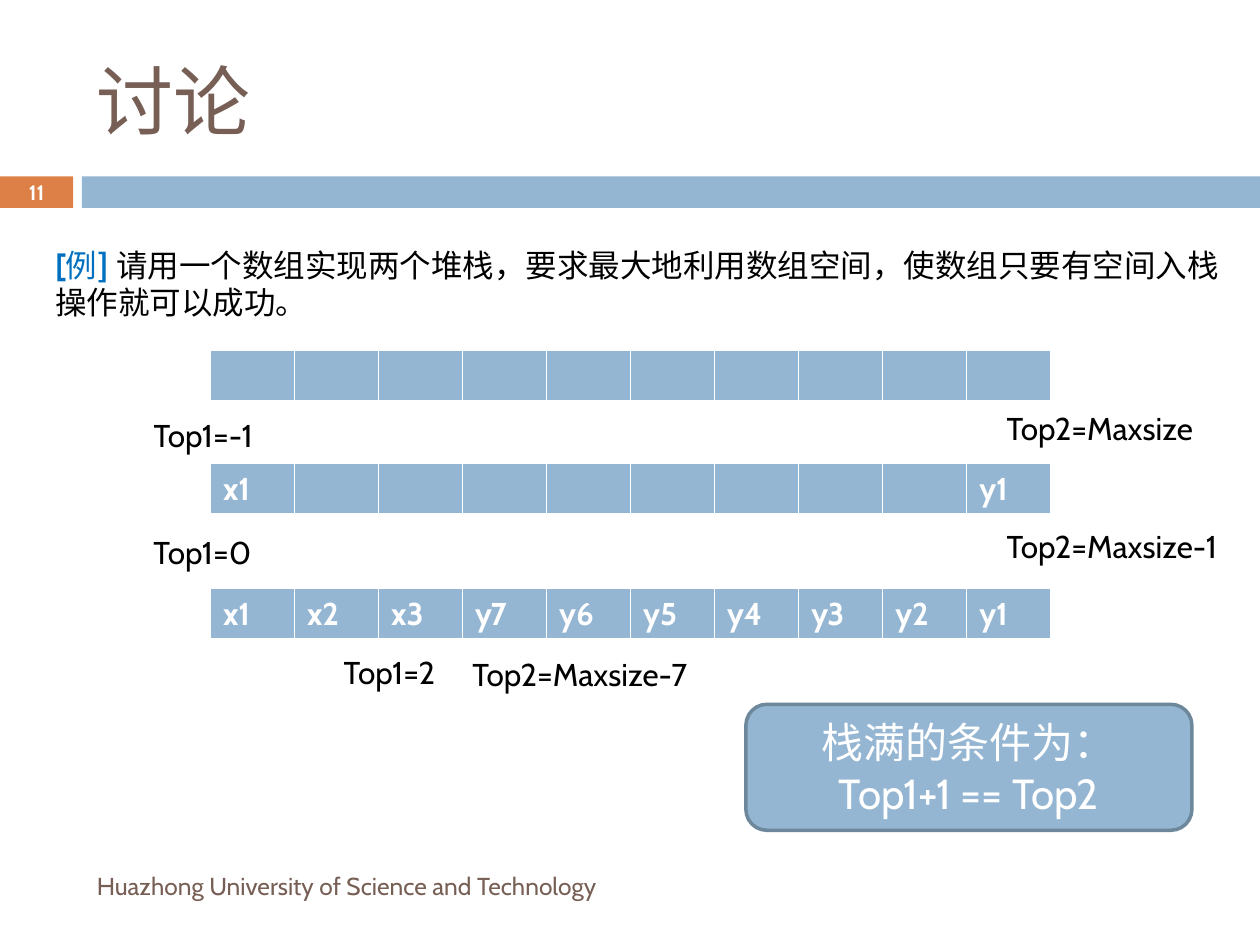
import pptx
import pptx.util
import pptx.dml.color
import pptx.enum.shapes
import pptx.enum.text
import pptx.oxml.ns
from lxml import etree

Inches, Pt = pptx.util.Inches, pptx.util.Pt
RGB = pptx.dml.color.RGBColor.from_string
SHAPE = pptx.enum.shapes.MSO_SHAPE
ALIGN = pptx.enum.text.PP_ALIGN
ANCHOR = pptx.enum.text.MSO_ANCHOR
qn = pptx.oxml.ns.qn

COLORS = {"blue": "94B6D2", "orange": "DD8047", "brown": "775F55", "edge": "6D879B",
          "link": "0070C0", "black": "000000", "white": "FFFFFF"}
LATIN, CJK = "Cabin", "Noto Sans CJK SC"


def style_run(r, size, color, bold=False, font=LATIN):
    r.font.size, r.font.bold, r.font.name = Pt(size), bold, font
    r.font.color.rgb = RGB(COLORS[color])
    etree.SubElement(r._r.get_or_add_rPr(), qn("a:ea"), typeface=CJK)


def style_text(tf, size, color, bold=False, align=ALIGN.LEFT):
    for p in tf.paragraphs:
        p.alignment = align
        for r in p.runs:
            style_run(r, size, color, bold)


def add_text(s, box, text, size, color, bold=False, align=ALIGN.LEFT,
             anchor=ANCHOR.TOP, wrap=True):
    tf = s.shapes.add_textbox(*map(Inches, box)).text_frame
    tf.word_wrap, tf.vertical_anchor = wrap, anchor
    tf.text = text
    style_text(tf, size, color, bold, align)
    return tf


def add_block(s, kind, box, fill, line=None):
    sp = s.shapes.add_shape(kind, *map(Inches, box))
    sp.shadow.inherit = False
    sp.fill.solid()
    sp.fill.fore_color.rgb = RGB(COLORS[fill])
    if line:
        sp.line.color.rgb = RGB(COLORS[line])
        sp.line.width = Pt(2)
    else:
        sp.line.fill.background()
    return sp


def add_frame(s, title, number, footer):
    """Title, numbered band and footer."""
    add_block(s, SHAPE.RECTANGLE, (0, 1.4, 0.58, 0.25), "orange")
    add_block(s, SHAPE.RECTANGLE, (0.65, 1.4, 9.35, 0.25), "blue")
    add_text(s, (0.67, 0.25, 8.92, 1.08), title, 44, "brown", anchor=ANCHOR.MIDDLE)
    add_text(s, (0.67, 6.83, 5.93, 0.4), footer, 14, "brown", anchor=ANCHOR.MIDDLE)
    add_text(s, (0, 1.39, 0.58, 0.27), number, 11.9, "white", True,
             ALIGN.CENTER, ANCHOR.MIDDLE)


def add_question(s, box, text):
    tf = add_text(s, box, "[", 18, "link", True)
    for part, color, bold, font in (("例", "link", False, CJK), ("] ", "link", True, CJK),
                                    (text, "black", False, CJK)):
        r = tf.paragraphs[0].add_run()
        r.text = part
        style_run(r, 18, color, bold, font)


def set_borders(cell):
    tcPr = cell._tc.get_or_add_tcPr()
    for side, width in (("L", 1), ("R", 1), ("T", 1), ("B", 3)):
        ln = etree.SubElement(tcPr, qn("a:ln" + side), w=str(Pt(width)))
        fill = etree.SubElement(ln, qn("a:solidFill"))
        etree.SubElement(fill, qn("a:srgbClr"), val=COLORS["white"])


def add_array(s, box, values):
    """One-row table showing the array that both stacks share."""
    table = s.shapes.add_table(1, len(values), *map(Inches, box)).table
    for col, cell, value in zip(table.columns, table.rows[0].cells, values):
        col.width = Inches(box[2] / len(values))
        set_borders(cell)
        cell.fill.solid()
        cell.fill.fore_color.rgb = RGB(COLORS["blue"])
        if value:
            cell.text = value
            style_text(cell.text_frame, 18, "white", True)


def add_state(s, top, values, labels):
    """Array with its stack pointers; each label is (left, drop, width, text)."""
    add_array(s, (1.67, top, 6.67, 0.41), values)
    for left, drop, width, text in labels:
        add_text(s, (left, top + drop, width, 0.4), text, 18, "black", wrap=False)


def add_conclusion(s, box, text):
    sp = add_block(s, SHAPE.ROUNDED_RECTANGLE, box, "blue", "edge")
    tf = sp.text_frame
    tf.word_wrap, tf.vertical_anchor = True, ANCHOR.MIDDLE
    tf.text = text
    style_text(tf, 24, "white", align=ALIGN.CENTER)


def main():
    prs = pptx.Presentation()
    prs.slide_width, prs.slide_height = Inches(10), Inches(7.5)
    s = prs.slides.add_slide(prs.slide_layouts[6])

    add_frame(s, "讨论", "11", "Huazhong University of Science and Technology")
    add_question(s, (0.34, 1.9, 9.58, 1.01),
                 "请用一个数组实现两个堆栈，要求最大地利用数组空间，使数组只要有空间入栈操作就可以成功。")
    add_state(s, 2.78, [""] * 10,
              [(1.12, 0.47, 1.09, "Top1=-1"), (7.89, 0.42, 1.7, "Top2=Maxsize")])
    add_state(s, 3.68, ["x1"] + [""] * 8 + ["y1"],
              [(1.12, 0.5, 1, "Top1=0"), (7.89, 0.45, 1.92, "Top2=Maxsize-1")])
    add_state(s, 4.67, ["x1", "x2", "x3"] + [f"y{i}" for i in range(7, 0, -1)],
              [(2.63, 0.46, 1, "Top1=2"), (3.65, 0.48, 1.92, "Top2=Maxsize-7")])
    add_conclusion(s, (5.92, 5.59, 3.54, 1), "栈满的条件为：\nTop1+1 == Top2")

    prs.save("out.pptx")


if __name__ == "__main__":
    main()
